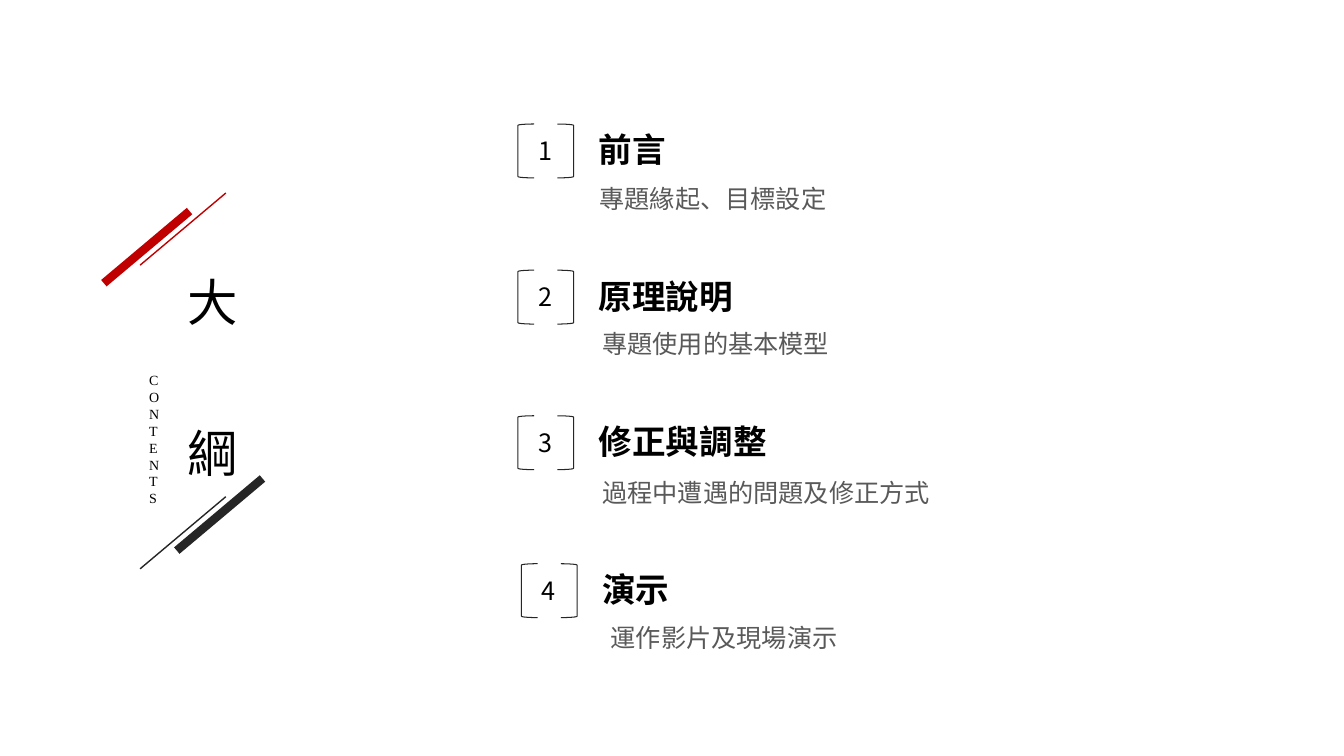
import pptx
import pptx.dml.color
import pptx.enum.shapes
import pptx.enum.text
import pptx.oxml.ns
import pptx.util
from lxml import etree

Pt = pptx.util.Pt
BRACKETS = pptx.enum.shapes.MSO_SHAPE

BLACK = pptx.dml.color.RGBColor(0x00, 0x00, 0x00)
DARK = pptx.dml.color.RGBColor(0x26, 0x26, 0x26)
GREY = pptx.dml.color.RGBColor(0x59, 0x59, 0x59)
RED = pptx.dml.color.RGBColor(0xC0, 0x00, 0x00)

SANS = "Noto Sans CJK SC"
SERIF = "Times New Roman"

# Heading, heading width, description, item left and top, description left and top
ITEMS = [
    ("前言", 63.4, "專題緣起、目標設定", 370, 88.6, 421.2, 127.2),
    ("原理說明", 111.6, "專題使用的基本模型", 370, 193, 423.2, 231.2),
    ("修正與調整", 135.4, "過程中遭遇的問題及修正方式", 370, 297, 423.2, 337.7),
    ("演示", 63.4, "運作影片及現場演示", 372.5, 402.7, 429.1, 440.8),
]


def place(shape, left, top, width, height):
    shape.left, shape.top = Pt(left), Pt(top)
    shape.width, shape.height = Pt(width), Pt(height)


def format_text(shape, text, size, color, name=SANS, bold=False, wrap=False):
    frame = shape.text_frame
    frame.text = text
    frame.word_wrap = wrap
    frame.auto_size = pptx.enum.text.MSO_AUTO_SIZE.SHAPE_TO_FIT_TEXT
    frame.vertical_anchor = pptx.enum.text.MSO_ANCHOR.TOP
    for paragraph in frame.paragraphs:
        paragraph.alignment = pptx.enum.text.PP_ALIGN.LEFT
        font = paragraph.font
        font.size, font.bold, font.name = Pt(size), bold, name
        font.color.rgb = color
        # East Asian characters take their own typeface
        properties = paragraph._p.pPr.find(pptx.oxml.ns.qn("a:defRPr"))
        latin = properties.find(pptx.oxml.ns.qn("a:latin"))
        east_asian = etree.Element(pptx.oxml.ns.qn("a:ea"), typeface=name)
        latin.addnext(east_asian)


def add_text(shapes, box, text, size, color, **style):
    shape = shapes.add_textbox(*map(Pt, box))
    format_text(shape, text, size, color, **style)


def add_stroke(shapes, left, bottom, color, weight):
    """Draw a slanted line upwards from its lower left end."""
    line = shapes.add_connector(
        pptx.enum.shapes.MSO_CONNECTOR.STRAIGHT,
        Pt(left), Pt(bottom), Pt(left + 61.2), Pt(bottom - 51.5))
    line.line.color.rgb = color
    line.line.width = Pt(weight)
    etree.SubElement(line._element.spPr, pptx.oxml.ns.qn("a:effectLst"))


def add_bracket(shapes, kind, left, top):
    bracket = shapes.add_shape(kind, Pt(left), Pt(top), Pt(11.5), Pt(38.5))
    bracket.shadow.inherit = False
    bracket.fill.background()
    bracket.line.color.rgb = DARK
    bracket.line.width = Pt(0.75)


def add_item(slide, number, item):
    heading, width, description, left, top, text_left, text_top = item
    shapes = slide.shapes.add_group_shape().shapes
    add_text(shapes, (left + 7.3, top + 4.6, 25.2, 28.8), str(number), 18, BLACK)
    add_bracket(shapes, BRACKETS.LEFT_BRACKET, left, top)
    add_bracket(shapes, BRACKETS.RIGHT_BRACKET, left + 28.2, top)
    add_text(shapes, (left + 50.6, top + 0.2, width, 36), heading, 24, BLACK, bold=True)
    add_text(shapes, (text_left, text_top, 329, 28.8), description, 18, GREY, wrap=True)


def main():
    presentation = pptx.Presentation()
    presentation.slide_width, presentation.slide_height = Pt(960), Pt(540)
    slide = presentation.slides.add_slide(presentation.slide_layouts[5])

    # Slanted strokes around the title
    red_pair = slide.shapes.add_group_shape().shapes
    add_stroke(red_pair, 74.2, 202.3, RED, 6)
    add_stroke(red_pair, 100.1, 189.4, RED, 1)
    dark_pair = slide.shapes.add_group_shape().shapes
    add_stroke(dark_pair, 126.3, 393.3, DARK, 6)
    add_stroke(dark_pair, 100.1, 406.3, DARK, 1)

    # Title, one character a line
    title = slide.shapes.title
    place(title, 126.7, 125.3, 51.1, 225.4)
    format_text(title, "大\n綱", 36, BLACK)
    for paragraph in title.text_frame.paragraphs:
        paragraph.line_spacing = 2.5
    add_text(slide.shapes, (99.4, 262.1, 18, 104.4), "CONTENTS", 10, BLACK,
             name=SERIF, wrap=True)

    # Numbered contents
    for number, item in enumerate(ITEMS, start=1):
        add_item(slide, number, item)

    presentation.save("out.pptx")


if __name__ == "__main__":
    main()
